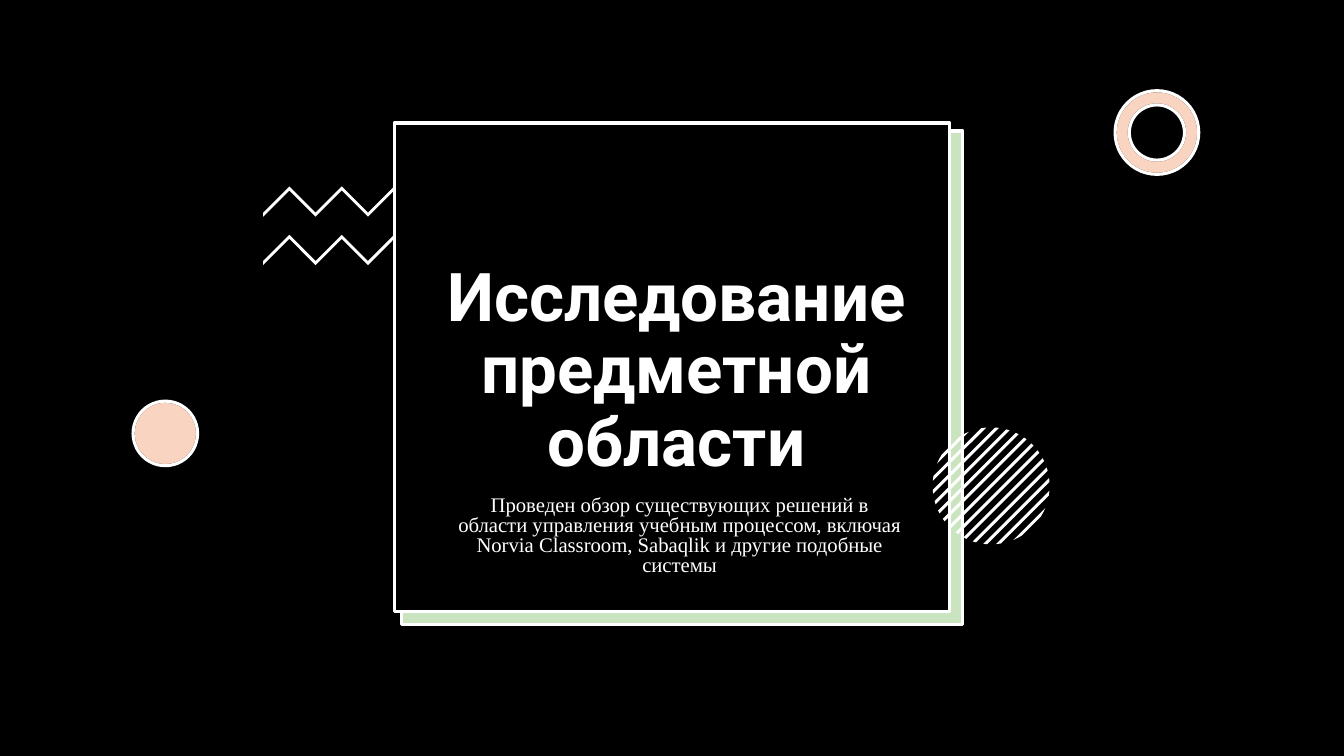
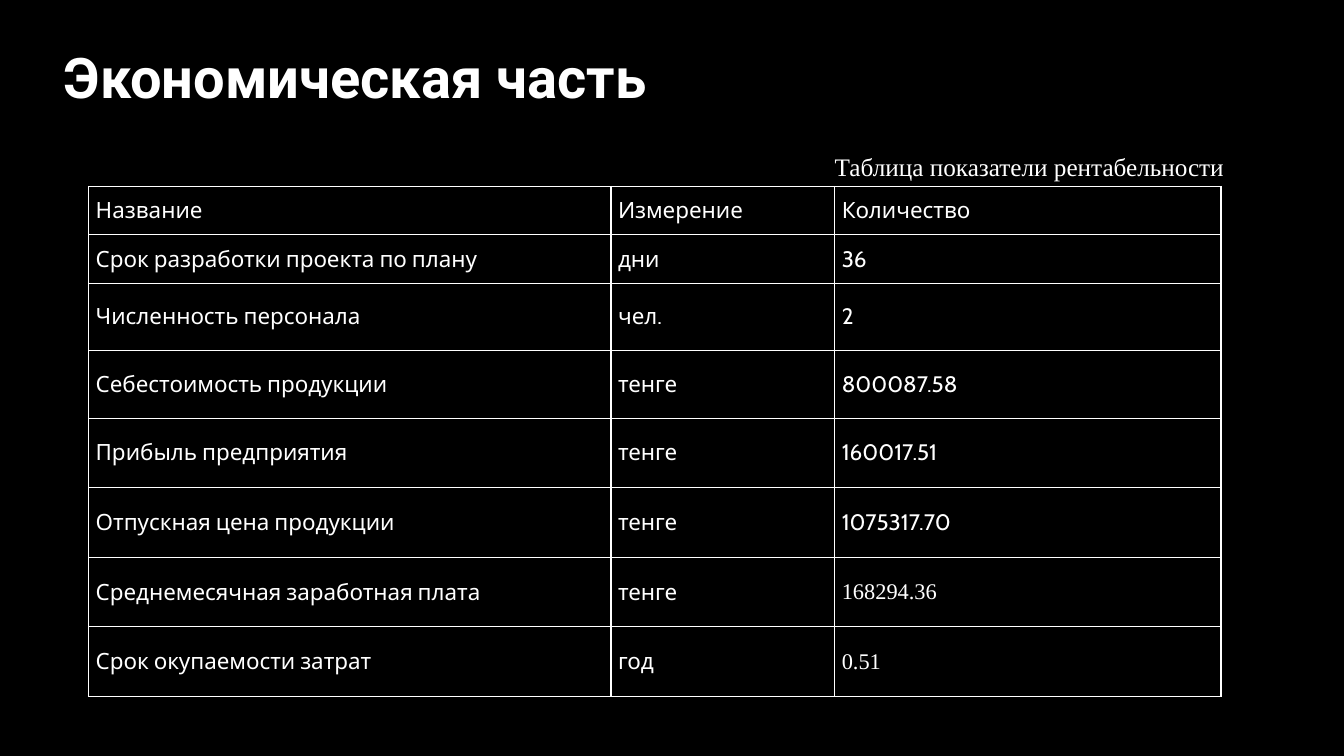
import math

from lxml import etree
from pptx import Presentation
from pptx import util as u
from pptx.dml.color import RGBColor
from pptx.enum import shapes, text
from pptx.oxml.ns import qn

BLACK, WHITE, GREEN, ORANGE = "000000", "FFFFFF", "4EA72E", "E97132"
CENTER, LEFT = text.PP_ALIGN.CENTER, text.PP_ALIGN.LEFT
RECT, OVAL, DONUT = (shapes.MSO_SHAPE.RECTANGLE, shapes.MSO_SHAPE.OVAL,
                     shapes.MSO_SHAPE.DONUT)


def rgb(color):
    return RGBColor.from_string(color)


def set_format(target, values):
    for name, value in values.items():
        setattr(target, name, value)


class Deck:
    """The shared style and the slide being drawn."""

    SERIF = "Times New Roman"
    TITLE = {"name": "Roboto", "bold": True}
    OUTLINE = 2.25
    FRAME = {"word_wrap": True, "auto_size": text.MSO_AUTO_SIZE.NONE}
    CELL = {"vertical_anchor": text.MSO_ANCHOR.MIDDLE,
            "margin_left": u.Inches(0.07), "margin_right": u.Inches(0.07),
            "margin_top": 0, "margin_bottom": 0}

    def __init__(self):
        self.prs = Presentation()
        set_format(self.prs, {"slide_width": u.Inches(13.33),
                              "slide_height": u.Inches(7.5)})

    def slide(self):
        self.s = self.prs.slides.add_slide(self.prs.slide_layouts[5])
        fill = self.s.background.fill
        fill.solid()
        fill.fore_color.rgb = rgb(BLACK)

    # Text
    def put_words(self, tf, words, font, para):
        tf.text = words
        p = tf.paragraphs[0]
        set_format(p, para)
        r = p.runs[0]
        set_format(r.font, font)
        r.font.color.rgb = rgb(WHITE)

    def title(self, words, box, size):
        sp = self.s.shapes.title
        sp.element.getparent().append(sp.element)  # bring to front
        set_format(sp, dict(zip(("left", "top", "width", "height"),
                                map(u.Inches, box))))
        set_format(sp.text_frame, {**self.FRAME,
                                   "vertical_anchor": text.MSO_ANCHOR.BOTTOM})
        self.put_words(sp.text_frame, words,
                       {**self.TITLE, "size": u.Pt(size)},
                       {"alignment": CENTER, "line_spacing": 0.9})

    def text(self, words, box, size, **para):
        tf = self.s.shapes.add_textbox(*map(u.Inches, box)).text_frame
        set_format(tf, self.FRAME)
        self.put_words(tf, words, {"name": self.SERIF, "size": u.Pt(size)},
                       {"alignment": CENTER, **para})

    # Shapes
    def paint(self, sp, fill, line=None, opacity=None):
        sp.shadow.inherit = False
        sp.fill.solid()
        sp.fill.fore_color.rgb = rgb(fill)
        if opacity:
            color = sp.element.spPr.find(".//" + qn("a:srgbClr"))
            etree.SubElement(color, qn("a:alpha"), val=str(opacity * 1000))
        if line:
            sp.line.color.rgb = rgb(line)
            sp.line.width = u.Pt(self.OUTLINE)
        else:
            sp.line.fill.background()

    def shape(self, kind, box, fill, line=None, opacity=None, adjust=None):
        sp = self.s.shapes.add_shape(kind, *map(u.Inches, box))
        if adjust:
            sp.adjustments[0] = adjust
        self.paint(sp, fill, line, opacity)

    def tinted(self, kind, box, color, base_line=None, adjust=None):
        """A white base under a translucent, white-edged colour."""
        self.shape(kind, box, WHITE, base_line, adjust=adjust)
        self.shape(kind, box, color, WHITE, 30, adjust)

    def polygons(self, outlines):
        group = self.s.shapes.add_group_shape()
        for outline in outlines:
            points = [(u.Inches(x), u.Inches(y)) for x, y in outline]
            pen = group.shapes.build_freeform(*points[0], scale=1.0)
            pen.add_line_segments(points[1:], close=True)
            self.paint(pen.convert_to_shape(), WHITE)

    # Table
    def border(self, cell):
        tc_pr = cell._tc.get_or_add_tcPr()
        for i, side in enumerate("LRTB"):
            ln = etree.Element(qn("a:ln" + side), w=str(u.Pt(1)))
            fill = etree.SubElement(ln, qn("a:solidFill"))
            etree.SubElement(fill, qn("a:srgbClr"), val=WHITE)
            tc_pr.insert(i, ln)

    def table(self, rows, left, top, widths, heights, serif_cells):
        box = (left, top, sum(widths), sum(heights))
        tb = self.s.shapes.add_table(len(rows), len(widths),
                                     *map(u.Inches, box)).table
        set_format(tb, {"first_row": False, "horz_banding": False})
        for col, width in zip(tb.columns, widths):
            col.width = u.Inches(width)
        for i, (row, height) in enumerate(zip(rows, heights)):
            tb.rows[i].height = u.Inches(height)
            for j, words in enumerate(row):
                cell = tb.cell(i, j)
                set_format(cell, self.CELL)
                cell.fill.solid()
                cell.fill.fore_color.rgb = rgb(BLACK)
                self.border(cell)
                name = self.SERIF if (i, j) in serif_cells else "Cabin"
                self.put_words(cell.text_frame, words,
                               {"name": name, "size": u.Pt(16)},
                               {"alignment": LEFT})


def zigzag(left, top, step=0.26, thick=0.04):
    upper = [(left + i * step, top + (0 if i % 2 else step))
             for i in range(9)]
    return upper + [(x, y + thick) for x, y in reversed(upper)]


def stripe(cx, cy, radius, offset, thick=0.03):
    """A diagonal band of a disc, at a distance from its centre."""
    sides = ([], [])
    for d in (offset - thick / 2, offset, offset + thick / 2):
        half = math.sqrt(radius ** 2 - d ** 2)
        for side, along in zip(sides, (half, -half)):
            side.append((cx + (d + along) / math.sqrt(2),
                         cy + (d - along) / math.sqrt(2)))
    return sides[0] + sides[1][::-1]


def main():
    deck = Deck()

    # Section slide: framed title among ornaments
    deck.slide()
    deck.polygons(zigzag(2.61, top) for top in (1.85, 2.33))
    deck.tinted(RECT, (3.98, 1.3, 5.57, 4.9), GREEN)
    deck.shape(RECT, (3.91, 1.22, 5.51, 4.85), BLACK, WHITE)
    deck.title("Исследование предметной области",
               (4.25, 1.53, 4.92, 3.29), 48)
    deck.text("Проведен обзор существующих решений в области управления "
              "учебным процессом, включая Norvia Classroom, Sabaqlik и "
              "другие подобные системы", (4.43, 4.88, 4.62, 0.99), 14.8,
              line_spacing=0.8, space_before=u.Pt(10))
    deck.tinted(DONUT, (11.06, 0.9, 0.83, 0.83), ORANGE, BLACK, 0.17)
    deck.tinted(OVAL, (1.32, 3.98, 0.64, 0.64), ORANGE, BLACK)
    deck.polygons(stripe(9.83, 4.82, 0.58, k * 0.55 / 6)
                  for k in range(-6, 7))

    # Economics slide: title and table
    deck.slide()
    deck.title("Экономическая часть", (0.15, 0.37, 6.75, 0.78), 40)
    deck.text("Таблица показатели рентабельности", (7.11, 1.45, 6.2, 0.4), 18)
    rows = [
        ("Название", "Измерение", "Количество"),
        ("Срок разработки проекта по плану", "дни", "36"),
        ("Численность персонала", "чел.", "2"),
        ("Себестоимость продукции", "тенге", "800087.58"),
        ("Прибыль предприятия", "тенге", "160017.51"),
        ("Отпускная цена продукции", "тенге", "1075317.70"),
        ("Среднемесячная заработная плата", "тенге", "168294.36"),
        ("Срок окупаемости затрат", "год", "0.51"),
    ]
    deck.table(rows, 0.88, 1.85, (5.18, 2.22, 3.83),
               [0.48] * 2 + [0.67] * 2 + [0.69] * 4, {(6, 2), (7, 2)})

    deck.prs.save("out.pptx")


if __name__ == "__main__":
    main()
